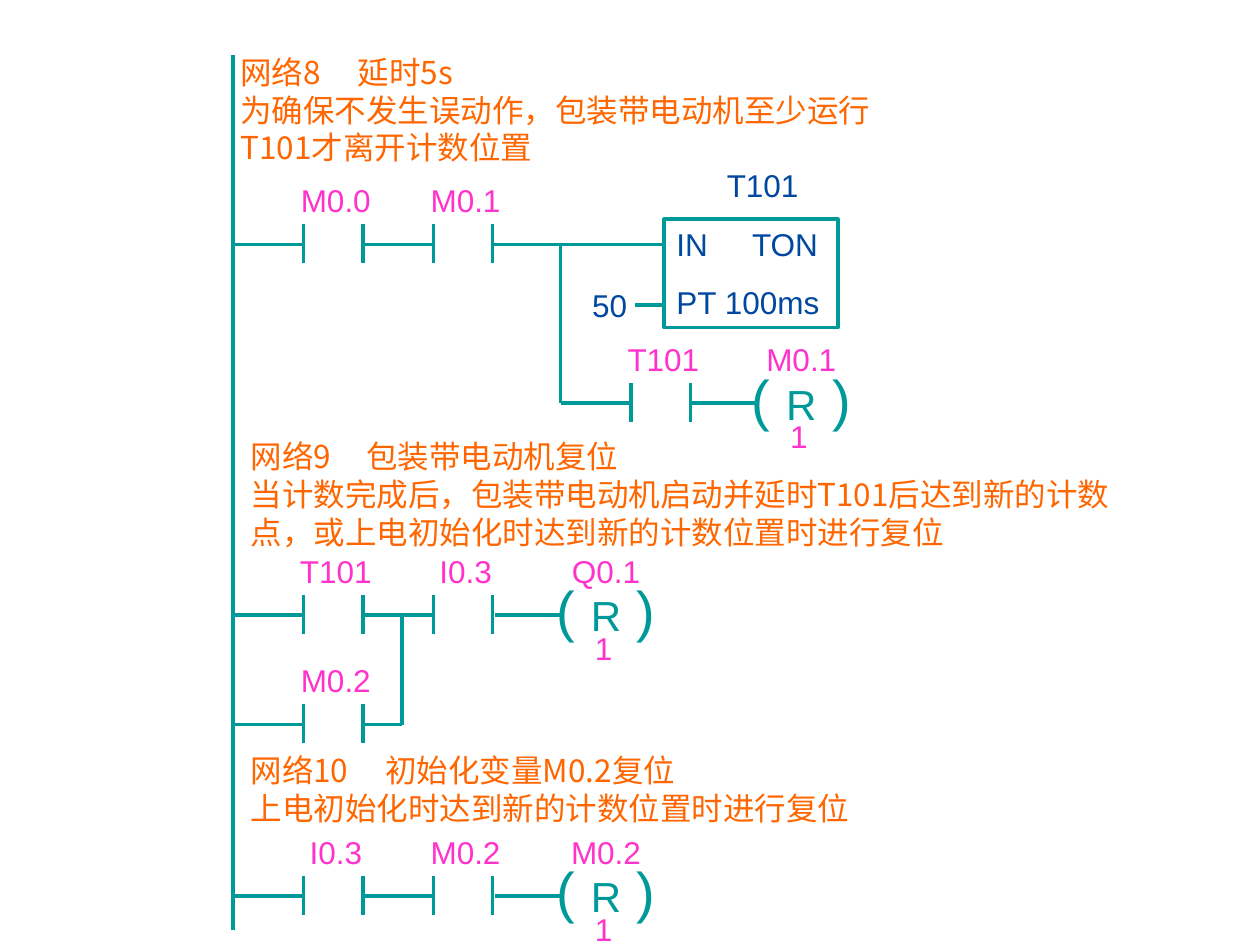
from dataclasses import dataclass

from lxml import etree
from pptx import Presentation, util as u
from pptx.dml.color import RGBColor
from pptx.enum import shapes, text
from pptx.oxml.ns import qn

# The slide is a grid of 100 columns by 75 rows
COLS, ROWS = 100, 75
TEAL, PINK, ORANGE, NAVY = "009999", "FF33CC", "FF6600", "0047A0"
LATIN, CJK = "Arial", "Noto Sans CJK SC"

RAIL = 18.5            # left power rail
GAP = 4.7              # between the two bars of a contact
LEAD = 5.6             # wire in front of a contact
FIRST = RAIL + LEAD    # first contact of a rung
SECOND = FIRST + GAP + LEAD
COIL = 48.1            # centre of the coils of networks 9 and 10
BRANCH = 44.5          # branch of network 8
LABEL_H = 4

prs = Presentation()
prs.slide_width, prs.slide_height = u.Inches(10), u.Inches(7.5)
s = prs.slides.add_slide(prs.slide_layouts[6])


@dataclass
class Run:
    text: str
    color: str
    size: float = 18
    font: str = LATIN


@dataclass
class Note:
    x: float
    y: float
    w: float
    h: float
    number: str
    title: str
    tab: float
    body: str


@dataclass
class Contact:
    x: float
    y: float
    label: str


@dataclass
class Coil:
    x: float
    y: float
    label: str


def cx(n: float) -> int:
    return int(prs.slide_width * n / COLS)


def ry(n: float) -> int:
    return int(prs.slide_height * n / ROWS)


def rgb(color: str) -> RGBColor:
    return RGBColor.from_string(color)


def add_runs(p, runs: list[Run], tab: float = 0) -> None:
    if tab:
        tabs = etree.SubElement(p._p.get_or_add_pPr(), qn("a:tabLst"))
        etree.SubElement(tabs, qn("a:tab"), pos=str(cx(tab)), algn="l")
    for run in runs:
        r = p.add_run()
        r.text = run.text
        r.font.size, r.font.name = u.Pt(run.size), run.font
        r.font.color.rgb = rgb(run.color)
        if run.font == CJK:
            etree.SubElement(r._r.get_or_add_rPr(), qn("a:ea"), typeface=CJK)


def text_box(x: float, y: float, w: float, h: float, runs: list[Run],
             centred: bool = False, tab: float = 0):
    tf = s.shapes.add_textbox(cx(x), ry(y), cx(w), ry(h)).text_frame
    tf.word_wrap = True
    p = tf.paragraphs[0]
    add_runs(p, runs, tab)
    if centred:
        p.alignment = text.PP_ALIGN.CENTER
    return tf


def label(x: float, y: float, w: float, run: Run) -> None:
    text_box(x - w / 2, y, w, LABEL_H, [run], centred=True)


def wire(x1: float, y1: float, x2: float, y2: float) -> None:
    c = s.shapes.add_connector(shapes.MSO_CONNECTOR.STRAIGHT,
                               cx(x1), ry(y1), cx(x2), ry(y2))
    c.line.color.rgb, c.line.width = rgb(TEAL), u.Pt(2)
    etree.SubElement(c._element.spPr, qn("a:effectLst"))


def draw_note(n: Note) -> None:
    tf = text_box(n.x, n.y, n.w, n.h,
                  [Run(f"{n.number}\t{n.title}", ORANGE, font=CJK)], tab=n.tab)
    add_runs(tf.add_paragraph(), [Run(n.body, ORANGE, font=CJK)])


def draw_contact(c: Contact) -> None:
    wire(c.x - LEAD, c.y, c.x, c.y)
    for x in (c.x, c.x + GAP):
        wire(x, c.y - 1.6, x, c.y + 1.5)
    label(c.x + GAP / 2 + 0.2, c.y - 5.5, 12.5, Run(c.label, PINK))


def draw_coil(c: Coil) -> None:
    wire(c.x - 8.8, c.y, c.x - 3.4, c.y)
    label(c.x, c.y - 5.5, 8.4, Run(c.label, PINK))
    text_box(c.x - 6.7, c.y - 3.6, 13.4, 6.4,
             [Run("( ", TEAL, 32), Run("R", TEAL, 24), Run(" )", TEAL, 32)],
             centred=True)
    label(c.x - 0.2, c.y + 0.6, 7.5, Run("1", PINK))


def draw_timer(x: float, y: float, w: float, h: float) -> None:
    sp = s.shapes.add_shape(shapes.MSO_SHAPE.RECTANGLE,
                            cx(x), ry(y), cx(w), ry(h))
    sp.shadow.inherit = False
    sp.fill.background()
    sp.line.color.rgb, sp.line.width = rgb(TEAL), u.Pt(2)
    tf = sp.text_frame
    tf.word_wrap = True
    tf.vertical_anchor = text.MSO_ANCHOR.TOP
    first, second = tf.paragraphs[0], tf.add_paragraph()
    add_runs(first, [Run("IN\tTON", NAVY)], tab=6)
    add_runs(second, [Run("PT 100ms", NAVY)])
    second.space_before = u.Pt(11.2)
    for p in (first, second):
        p.alignment = text.PP_ALIGN.LEFT
    text_box(x + 4, y - 4.7, 8, LABEL_H, [Run("T101", NAVY)])
    text_box(x - 6.7, y + 4.8, 6.1, LABEL_H, [Run("50", NAVY)])
    wire(x - 2.3, y + 6.8, x, y + 6.8)


# Rung heights
RUNG_8, RUNG_8B, RUNG_9, RUNG_9B, RUNG_10 = 19.4, 32, 48.8, 57.5, 71.1
TIMER_X = 52.7

NOTES = [
    Note(18.1, 3.7, 55.1, 10, "网络8", "延时5s", 9.3,
         "为确保不发生误动作，包装带电动机至少运行T101才离开计数位置"),
    Note(18.9, 34.2, 72.4, 10, "网络9", "包装带电动机复位", 9.2,
         "当计数完成后，包装带电动机启动并延时T101后达到新的计数点，"
         "或上电初始化时达到新的计数位置时进行复位"),
    Note(18.9, 59.1, 72.4, 7, "网络10", "初始化变量M0.2复位", 10.7,
         "上电初始化时达到新的计数位置时进行复位"),
]
CONTACTS = [
    Contact(FIRST, RUNG_8, "M0.0"),
    Contact(SECOND, RUNG_8, "M0.1"),
    Contact(BRANCH + LEAD, RUNG_8B, "T101"),
    Contact(FIRST, RUNG_9, "T101"),
    Contact(SECOND, RUNG_9, "I0.3"),
    Contact(FIRST, RUNG_9B, "M0.2"),
    Contact(FIRST, RUNG_10, "I0.3"),
    Contact(SECOND, RUNG_10, "M0.2"),
]
COILS = [
    Coil(63.6, RUNG_8B, "M0.1"),
    Coil(COIL, RUNG_9, "Q0.1"),
    Coil(COIL, RUNG_10, "M0.2"),
]

# Power rail, notes and rung elements
wire(RAIL, 4.4, RAIL, 73.8)
for note in NOTES:
    draw_note(note)
for contact in CONTACTS:
    draw_contact(contact)
for coil in COILS:
    draw_coil(coil)

# Timer of network 8 and its branch
wire(SECOND + GAP, RUNG_8, TIMER_X, RUNG_8)
wire(BRANCH, RUNG_8, BRANCH, RUNG_8B)
draw_timer(TIMER_X, 17.4, 13.8, 8.6)

# Parallel branch of network 9
JOIN = 31.9
wire(FIRST + GAP, RUNG_9B, JOIN, RUNG_9B)
wire(JOIN, RUNG_9, JOIN, RUNG_9B)

prs.save("out.pptx")
